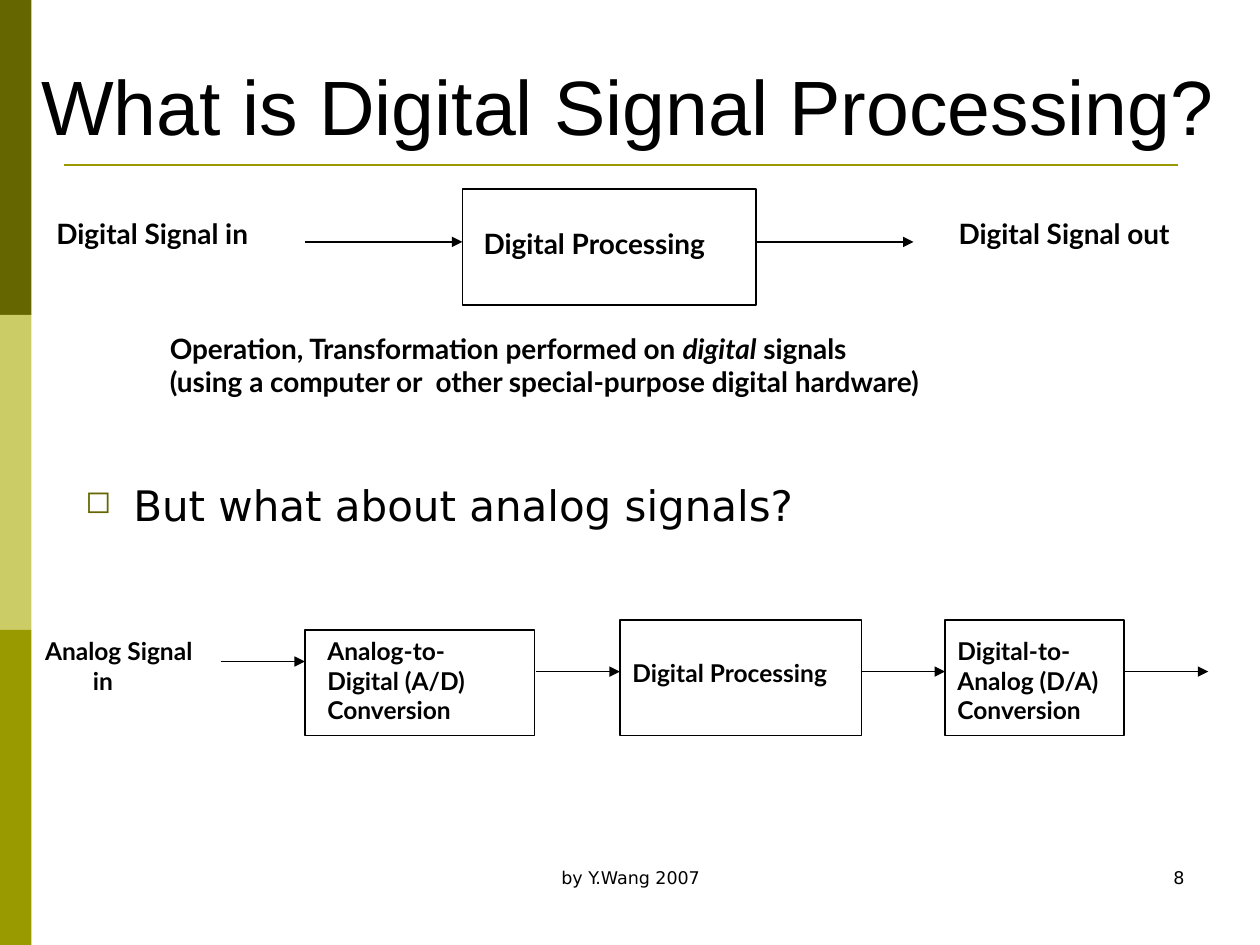
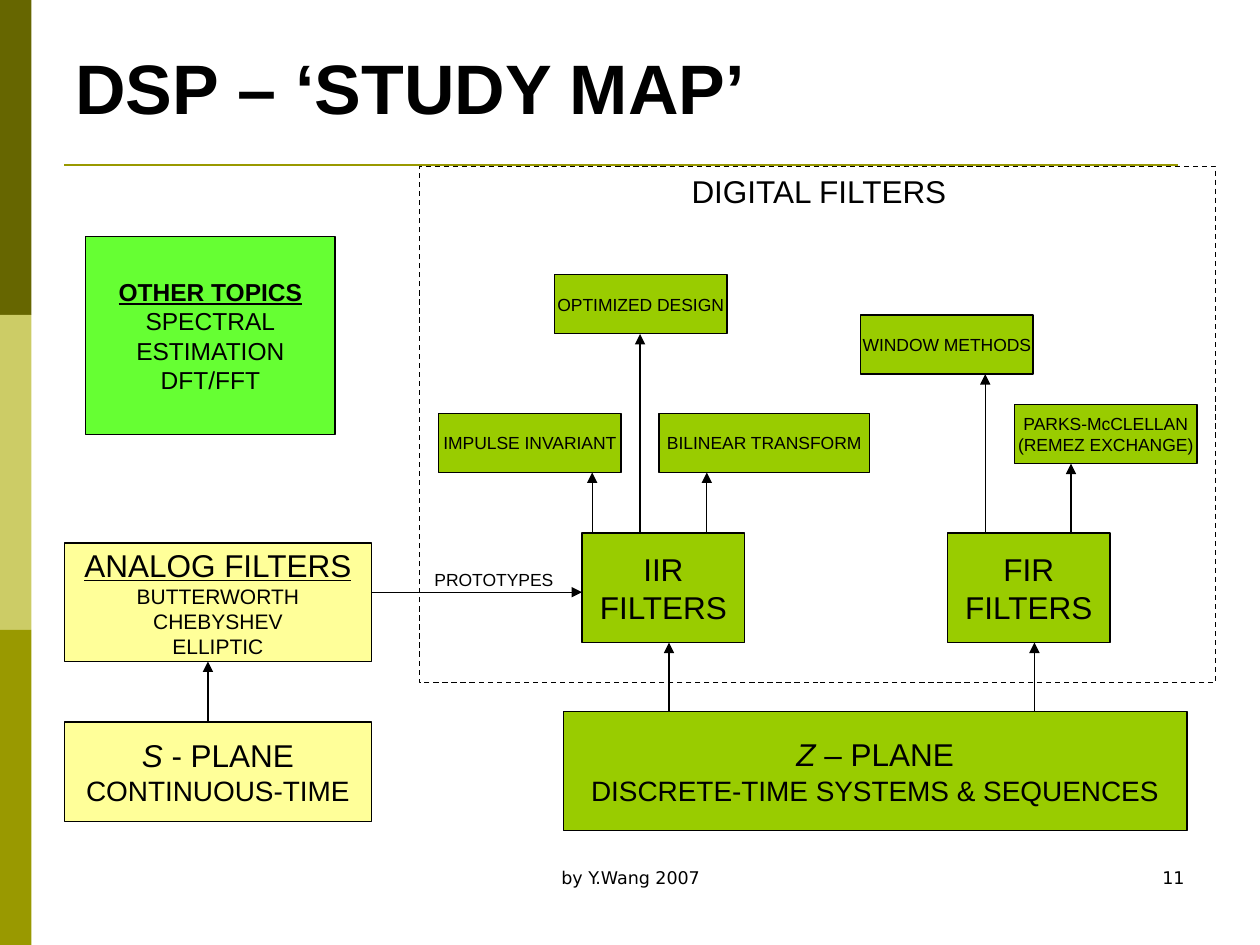
from lxml.etree import SubElement
from pptx import Presentation
from pptx.dml.color import RGBColor
from pptx.enum.dml import MSO_LINE
from pptx.enum.shapes import MSO_CONNECTOR, MSO_SHAPE
from pptx.enum.text import MSO_ANCHOR as ANCHOR, PP_ALIGN as ALIGN
from pptx.oxml.ns import qn
from pptx.util import Inches, Pt

BLACK = RGBColor(0, 0, 0)
DARK_OLIVE = RGBColor(0x66, 0x66, 0x00)
PALE_OLIVE = RGBColor(0xCC, 0xCC, 0x66)
OLIVE = RGBColor(0x99, 0x99, 0x00)
LIME = RGBColor(0x99, 0xCC, 0x00)
CREAM = RGBColor(0xFF, 0xFF, 0x99)
BRIGHT_GREEN = RGBColor(0x66, 0xFF, 0x33)

HEADING_FONT, BODY_FONT, DIAGRAM_FONT = "Arial", "DejaVu Sans", "Lato"
LINE_WIDTH = Pt(0.74)


def write(frame, lines, size, font=HEADING_FONT, align=ALIGN.LEFT, bold=False):
    """Write lines; a line is a string or a list of (text, style) pieces.

    A style may hold size, bold, italic and underline.
    """
    for number, line in enumerate(lines):
        paragraph = frame.paragraphs[0] if number == 0 else frame.add_paragraph()
        paragraph.alignment = align
        pieces = [(line, {})] if isinstance(line, str) else line
        for text, style in pieces:
            run = paragraph.add_run()
            run.text = text
            run.font.name = font
            run.font.size = Pt(style.get("size", size))
            run.font.bold = style.get("bold", bold)
            run.font.italic = style.get("italic", False)
            run.font.underline = style.get("underline", False)
            run.font.color.rgb = BLACK


def add_label(slide, left, top, width, height, lines, size, font=HEADING_FONT,
              align=ALIGN.LEFT, bold=False, wrap=True, anchor=ANCHOR.TOP):
    """Add free text and return its text frame."""
    frame = slide.shapes.add_textbox(Inches(left), Inches(top), Inches(width),
                                     Inches(height)).text_frame
    frame.word_wrap = wrap
    frame.vertical_anchor = anchor
    write(frame, lines, size, font, align, bold)
    return frame


def add_block(slide, left, top, width, height, lines=(), size=10, fill=None,
              outlined=True):
    """Add a rectangle with centred text and return it."""
    block = slide.shapes.add_shape(MSO_SHAPE.RECTANGLE, Inches(left), Inches(top),
                                   Inches(width), Inches(height))
    block.shadow.inherit = False
    if fill is None:
        block.fill.background()
    else:
        block.fill.solid()
        block.fill.fore_color.rgb = fill
    if outlined:
        block.line.color.rgb = BLACK
        block.line.width = LINE_WIDTH
    else:
        block.line.fill.background()
    if lines:
        block.text_frame.word_wrap = False
        block.text_frame.vertical_anchor = ANCHOR.MIDDLE
        write(block.text_frame, lines, size, align=ALIGN.CENTER)
    return block


def add_line(slide, x1, y1, x2, y2, color=BLACK, width=LINE_WIDTH, arrow=True):
    """Add a straight line, by default with an arrowhead at its end."""
    line = slide.shapes.add_connector(MSO_CONNECTOR.STRAIGHT, Inches(x1), Inches(y1),
                                      Inches(x2), Inches(y2))
    line.line.color.rgb = color
    line.line.width = width
    properties = line._element.spPr
    if arrow:
        SubElement(properties.find(qn("a:ln")), qn("a:tailEnd"), type="triangle")
    SubElement(properties, qn("a:effectLst"))


def add_page(deck, page_number):
    """Add a slide with the side bands, title rule and footer."""
    slide = deck.slides.add_slide(deck.slide_layouts[6])
    for index, color in enumerate((DARK_OLIVE, PALE_OLIVE, OLIVE)):
        add_block(slide, 0, 2.5 * index, 0.25, 2.5, fill=color, outlined=False)
    add_line(slide, 0.51, 1.31, 9.35, 1.31, OLIVE, Pt(1.5), arrow=False)
    add_label(slide, 3.42, 6.83, 3.17, 0.5, ["by Y.Wang 2007"], 10, BODY_FONT,
              ALIGN.CENTER)
    add_label(slide, 7.17, 6.83, 2.33, 0.5, [str(page_number)], 10, BODY_FONT,
              ALIGN.RIGHT)
    return slide


def add_title(slide, left, top, width, height, title, size, bold=False):
    """Add the title, standing on the bottom of its box."""
    add_label(slide, left, top, width, height, [title], size, bold=bold,
              anchor=ANCHOR.BOTTOM)


def add_question(slide, left, top, width, height, question):
    """Add one line of body text with a hollow square bullet."""
    frame = add_label(slide, left, top, width, height, [question], 24, BODY_FONT)
    paragraph = frame.paragraphs[0]
    paragraph.line_spacing = 0.8
    paragraph.space_before = Pt(6)
    properties = paragraph._p.get_or_add_pPr()
    properties.set("marL", str(Inches(0.38)))
    properties.set("indent", str(-Inches(0.38)))
    bullet_color = SubElement(properties, qn("a:buClr"))
    SubElement(bullet_color, qn("a:srgbClr"), val=str(DARK_OLIVE))
    SubElement(properties, qn("a:buSzPct"), val="75000")
    SubElement(properties, qn("a:buChar"), char="\u25fb")


def add_digital_chain(slide, left, top):
    """Draw digital signal in, processing, signal out, and the explanation."""
    def label(x, y, width, height, lines, wrap=False):
        add_label(slide, left + x, top + y, width, height, lines, 16, DIAGRAM_FONT,
                  bold=True, wrap=wrap)

    box_left, box_width, arrow_length, middle = 3.32, 2.33, 1.25, top + 0.42
    box_right = box_left + box_width
    add_block(slide, left + box_left, top, box_width, 0.92)
    for start in (box_left - arrow_length, box_right):
        add_line(slide, left + start, middle, left + start + arrow_length, middle)
    label(0, 0.17, 1.94, 0.37, ["Digital Signal in"])
    label(3.39, 0.25, 2.0, 0.37, ["Digital Processing"])
    label(7.16, 0.17, 2.11, 0.37, ["Digital Signal out"])
    label(0.9, 1.08, 7.33, 0.64, [
        [("Operation, Transformation performed on ", {}), ("digital", {"italic": True}),
         (" signals", {})],
        "(using a computer or  other special-purpose digital hardware)"], wrap=True)


def add_analog_chain(slide, left, top):
    """Draw analog signal in, A/D, digital processing, D/A, and the way out."""
    def label(x, y, width, height, lines, wrap=True):
        return add_label(slide, left + x, top + y, width, height, lines, 14,
                         DIAGRAM_FONT, bold=True, wrap=wrap)

    signal = label(0, 0.08, 1.53, 0.6, ["Analog Signal", "in"], wrap=False)
    signal.paragraphs[1]._p.get_or_add_pPr().set("marL", str(Inches(0.38)))
    signal.paragraphs[1].runs[0].font.size = Pt(14)

    stages = ((2.16, 0.08, 1.82, 0.84), (4.66, 0, 1.92, 0.92), (7.24, 0, 1.42, 0.92))
    for x, y, width, height in stages:
        add_block(slide, left + x, top + y, width, height)
    label(2.24, 0.08, 1.47, 0.8, ["Analog-to-", "Digital (A/D)", "Conversion"])
    label(4.66, 0.25, 1.95, 0.34, ["Digital Processing"], wrap=False)
    label(7.24, 0.08, 1.58, 0.8, ["Digital-to- Analog (D/A)", "Conversion"])

    for x, y in ((1.49, 0.33), (3.99, 0.41), (6.57, 0.41), (8.66, 0.41)):
        add_line(slide, left + x, top + y, left + x + 0.67, top + y)


def add_other_topics(slide, left, top, width, height):
    """Add the box of topics outside the filter map."""
    heading = [("OTHER TOPICS", {"bold": True, "underline": True})]
    add_block(slide, left, top, width, height,
              [heading, "SPECTRAL", "ESTIMATION", "DFT/FFT"], 14, BRIGHT_GREEN)


def add_plane(slide, left, top, width, height, letter, name, description, fill):
    """Add the box of one transform plane, its letter in italics."""
    add_block(slide, left, top, width, height,
              [[(letter, {"italic": True}), (name, {})],
               [(description, {"size": 16})]], 18, fill)


def add_analog_filters(slide, left, top, width):
    """Draw the s-plane leading up to the analog filters."""
    heading = [("ANALOG FILTERS", {"size": 18, "underline": True})]
    add_block(slide, left, top, width, 0.94,
              [heading, "BUTTERWORTH", "CHEBYSHEV", "ELLIPTIC"], 12, CREAM)
    add_plane(slide, left, top + 1.42, width, 0.79, "S", " - PLANE",
              "CONTINUOUS-TIME", CREAM)
    add_line(slide, left + 1.14, top + 1.42, left + 1.14, top + 0.94)


def add_digital_filters(slide, left, top, width, height):
    """Draw the z-plane, the IIR and FIR families and their design methods."""
    frame = add_block(slide, left, top, width, height)
    frame.line.dash_style = MSO_LINE.DASH
    add_label(slide, left + 2.06, top, 2.27, 0.4, ["DIGITAL FILTERS"], 18, wrap=False)

    plane_top, family_top, family_height, method_height = 4.33, 2.91, 0.87, 0.47
    add_plane(slide, left + 1.14, top + plane_top, 4.95, 0.94, "Z", " \u2013 PLANE",
              "DISCRETE-TIME SYSTEMS & SEQUENCES", LIME)
    for name, x in (("IIR", 1.29), ("FIR", 4.19)):
        add_block(slide, left + x, top + family_top, 1.29, family_height,
                  [name, "FILTERS"], 18, LIME)
        add_line(slide, left + x + 0.69, top + plane_top,
                 left + x + 0.69, top + family_top + family_height)

    methods = (  # lines, left, top, width, arrow position
        (["IMPULSE INVARIANT"], 0.15, 1.96, 1.45, 1.37),
        (["BILINEAR TRANSFORM"], 1.9, 1.96, 1.67, 2.28),
        (["OPTIMIZED DESIGN"], 1.07, 0.86, 1.37, 1.75),
        (["WINDOW METHODS"], 3.5, 1.18, 1.37, 4.49),
        (["PARKS-McCLELLAN", "(REMEZ EXCHANGE)"], 4.72, 1.89, 1.45, 5.17),
    )
    for lines, x, y, method_width, arrow_x in methods:
        add_block(slide, left + x, top + y, method_width, method_height, lines,
                  fill=LIME)
        add_line(slide, left + arrow_x, top + family_top,
                 left + arrow_x, top + y + method_height)


def add_prototypes(slide, left, right, middle):
    """Draw the labelled arrow from the analog to the digital filters."""
    add_line(slide, left, middle, right, middle)
    add_label(slide, left + 0.4, middle - 0.23, 1.14, 0.27, ["PROTOTYPES"], 10,
              wrap=False)


def build_processing_slide(deck):
    """Build the slide that explains digital signal processing."""
    slide = add_page(deck, 8)
    add_title(slide, 0.23, 0, 9.52, 1.25, "What is Digital Signal Processing?", 44)
    add_question(slide, 0.58, 3.83, 8.5, 2.92, "But what about analog signals?")
    add_digital_chain(slide, 0.35, 1.5)
    add_analog_chain(slide, 0.26, 4.92)


def build_study_map_slide(deck):
    """Build the slide that maps the topics of the course."""
    slide = add_page(deck, 11)
    add_title(slide, 0.5, 0.3, 9, 0.77, "DSP \u2013 \u2018STUDY MAP\u2019", 40, bold=True)
    add_other_topics(slide, 0.68, 1.88, 1.98, 1.57)
    add_analog_filters(slide, 0.51, 4.31, 2.44)
    add_digital_filters(slide, 3.33, 1.32, 6.32, 4.1)
    add_prototypes(slide, 2.95, 4.62, 4.7)


presentation = Presentation()
presentation.slide_width, presentation.slide_height = Inches(10), Inches(7.5)
build_processing_slide(presentation)
build_study_map_slide(presentation)
presentation.save("out.pptx")
